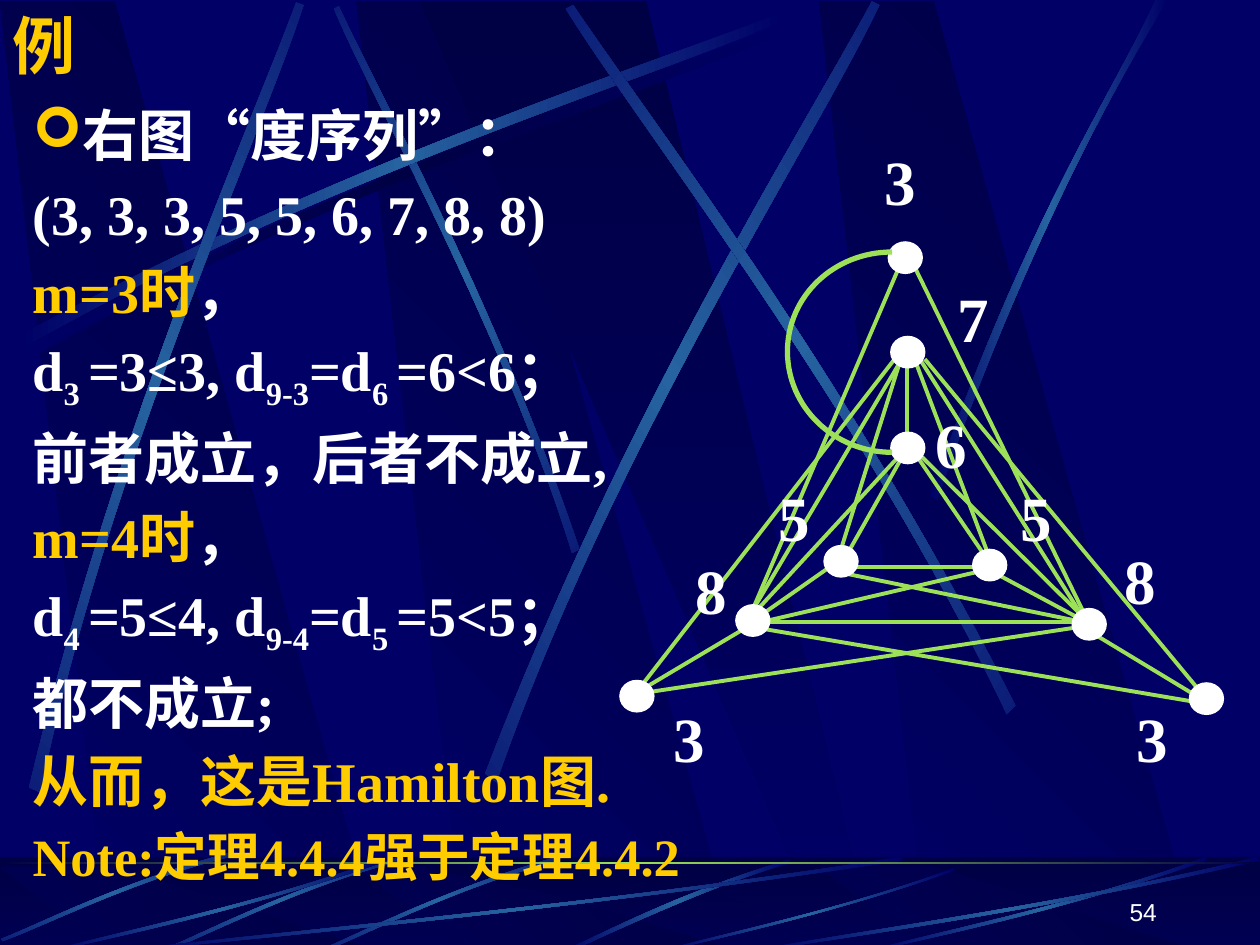
from copy import deepcopy
from math import cos, radians, sin

from lxml import etree
from pptx import Presentation
from pptx.dml.color import RGBColor
from pptx.enum.shapes import MSO_CONNECTOR, MSO_SHAPE
from pptx.enum.text import MSO_ANCHOR, PP_ALIGN
from pptx.oxml.ns import qn
from pptx.util import Inches, Pt

STRAIGHT = MSO_CONNECTOR.STRAIGHT
RECTANGLE, OVAL = MSO_SHAPE.RECTANGLE, MSO_SHAPE.OVAL
TOP, MIDDLE, BOTTOM = MSO_ANCHOR.TOP, MSO_ANCHOR.MIDDLE, MSO_ANCHOR.BOTTOM
LEFT, RIGHT = PP_ALIGN.LEFT, PP_ALIGN.RIGHT

NAVY = RGBColor(0x00, 0x00, 0x66)
DARK = RGBColor(0x00, 0x00, 0x44)
BLUE = RGBColor(0x26, 0x63, 0xA0)
GREEN = RGBColor(0x9C, 0xE1, 0x57)
GOLD = RGBColor(0xFF, 0xCC, 0x00)
WHITE = RGBColor(0xFF, 0xFF, 0xFF)
SERIF = "Times New Roman"

BANDS = [
    ((2.83, 3.69, 5.85, 3.74), (NAVY, DARK), 315),
    ((0, 0.86, 3.02, 0.91), (NAVY, DARK), 315),
    ((6.5, 7.36, 9.52, 7.41), (NAVY, DARK), 315),
    ((3.33, 6.58, 6.94, 5.13), (DARK, NAVY), 90),
]
SHADOW_STREAK = [(0.2, 2.75), (2.84, 1.34), (5.24, 0.59), (6.26, 0.18),
                 (6.29, 0.24), (5.28, 0.69), (2.54, 1.51), (0.23, 2.85)]
UPPER_STREAKS = [
    (45, [(4.6, 4.36), (3.91, 2.34), (3.02, 0.77), (2.69, 0.05),
          (2.65, 0.07), (2.95, 0.79), (3.98, 2.58), (4.54, 4.39)]),
    (0, [(0.14, 2.67), (2.78, 1.25), (5.18, 0.51), (6.2, 0.1),
         (6.23, 0.16), (5.22, 0.61), (2.48, 1.43), (0.17, 2.77)]),
    (311.7, [(0.23, 6.25), (0.93, 3.34), (1.97, 1.05), (2.35, 0.02),
             (2.41, 0.04), (2.07, 1.09), (0.86, 3.68), (0.32, 6.29)]),
    (321.6, [(3.85, 6.14), (4.98, 3.2), (6.38, 1.02), (6.92, 0.01),
             (6.98, 0.04), (6.49, 1.08), (4.86, 3.55), (3.94, 6.21)]),
    (34.7, [(8.06, 5.6), (6.7, 2.93), (5.16, 0.95), (4.55, 0.04),
            (4.49, 0.07), (5.07, 1.01), (6.85, 3.25), (7.99, 5.67)]),
    (0, [(7.38, 3.94), (8.14, 1.73), (8.88, 0.66), (9.17, 0),
         (9.27, 0), (8.36, 1.45), (7.69, 3.22), (7.44, 3.97)]),
]
LOWER_STREAKS = [
    (0, [(6.27, 6.82), (5.37, 7.09), (4.77, 7.42), (4.48, 7.54),
         (4.53, 7.55), (4.9, 7.38), (5.71, 7), (6.28, 6.85)]),
    (315, [(4.42, 6.8), (3.55, 7.05), (2.87, 7.4), (2.56, 7.53),
           (2.57, 7.55), (2.88, 7.43), (3.65, 7.03), (4.44, 6.83)]),
    (315, [(3.17, 6.8), (2.3, 7.05), (1.62, 7.4), (1.31, 7.53),
           (1.32, 7.55), (1.63, 7.43), (2.4, 7.03), (3.19, 6.83)]),
    (315, [(1.85, 6.76), (0.98, 6.99), (0.32, 7.33), (0.01, 7.45),
           (0.02, 7.47), (0.33, 7.36), (1.09, 6.97), (1.87, 6.79)]),
    (0, [(7.17, 6.83), (4.49, 7.23), (2.06, 7.44), (1.03, 7.55),
         (1, 7.54), (2.02, 7.41), (4.8, 7.18), (7.14, 6.8)]),
    (0, [(3.08, 6.83), (1.93, 7.23), (0.88, 7.44), (0.43, 7.55),
         (0.42, 7.54), (0.86, 7.41), (2.06, 7.18), (3.07, 6.8)]),
    (0, [(7.58, 6.91), (6.58, 7.26), (5.67, 7.45), (5.28, 7.55),
         (5.27, 7.54), (5.65, 7.43), (6.69, 7.22), (7.57, 6.89)]),
    (0, [(9.58, 6.83), (8.43, 7.23), (7.38, 7.44), (6.93, 7.55),
         (6.92, 7.54), (7.36, 7.41), (8.56, 7.18), (9.57, 6.8)]),
    (0, [(10, 6.83), (8.27, 7.23), (6.69, 7.44), (6.02, 7.55),
         (6, 7.54), (6.66, 7.41), (8.46, 7.18), (9.98, 6.8)]),
]
EDGES = [
    (6.75, 4.5, 7.75, 4.5), (7.2, 2.88, 7.2, 3.49), (6.03, 4.94, 8.67, 4.94),
    (7.17, 3.61, 6.7, 4.44), (7.27, 3.61, 7.87, 4.49), (7.14, 2.88, 6.64, 4.47),
    (7.14, 2.11, 5.93, 4.94), (7.24, 2.08, 8.61, 4.88), (7.27, 2.88, 7.87, 4.47),
    (7.3, 2.85, 8.64, 4.97), (7.14, 2.88, 5.97, 4.85), (7.34, 2.85, 9.51, 5.47),
    (7.1, 2.85, 5.07, 5.47), (8.63, 5, 9.54, 5.55), (5.93, 4.97, 9.54, 5.58),
    (7.9, 4.55, 8.57, 4.91), (6.6, 4.49, 6, 4.91), (5.89, 5, 5.1, 5.47),
    (6.7, 4.55, 8.61, 4.94), (5.17, 5.49, 8.61, 4.97), (7.3, 3.61, 8.61, 4.91),
    (6.03, 4.94, 7.84, 4.52), (6, 4.85, 7.2, 3.55),
]
VERTICES = [(4.92, 5.4), (5.84, 4.8), (6.54, 4.33), (7.05, 1.92), (7.07, 2.67),
            (7.07, 3.43), (7.72, 4.36), (8.51, 4.83), (9.44, 5.42)]
DEGREES = [("3", 6.92, 1.08), ("7", 7.5, 2.17), ("5", 6.08, 3.75),
           ("5", 8, 3.75), ("8", 5.42, 4.33), ("8", 8.83, 4.25),
           ("3", 8.92, 5.5), ("3", 5.25, 5.5), ("6", 7.33, 3.17)]
LOOP = [(7.08, 2), (6.62, 2), (6.25, 2.35), (6.25, 2.79),
        (6.25, 3.23), (6.62, 3.59), (7.08, 3.59)]


def degree_test(m, degree, rest, other, value):
    return [("d", None, 0), (f"{m} ", None, -25), (f"={degree}≤{m}, d", None, 0),
            (rest, None, -25), ("=d", None, 0), (f"{other} ", None, -25),
            (f"={value}<{value}；", None, 0)]


def case_heading(m):
    return [(f"m={m}时", GOLD, 0), ("，", WHITE, 0)]


ARGUMENT = [
    ([("右图“度序列”：", None, 0)], WHITE, 32),
    ([("(3, 3, 3, 5, 5, 6, 7, 8, 8)", None, 0)], WHITE, 32),
    (case_heading(3), None, 32),
    (degree_test(3, 3, "9-3", 6, 6), WHITE, 32),
    ([("前者成立，后者不成立,", None, 0)], WHITE, 32),
    (case_heading(4), None, 32),
    (degree_test(4, 5, "9-4", 5, 5), WHITE, 32),
    ([("都不成立;", None, 0)], WHITE, 32),
    ([("从而，这是Hamilton图.", None, 0)], GOLD, 32),
    ([("Note:定理4.4.4强于定理4.4.2", None, 0)], GOLD, 30),
]


def fill_gradient(shape, colors, angle):
    shape.fill.gradient()
    shape.fill.gradient_angle = (360 - angle) % 360
    stop_list = shape._element.spPr.find(".//" + qn("a:gsLst"))
    for _ in colors[2:]:
        stop_list.append(deepcopy(stop_list[-1]))
    for i, (stop, color) in enumerate(zip(shape.fill.gradient_stops, colors)):
        stop.color.rgb = color
        stop.position = i / (len(colors) - 1)
    shape.line.fill.background()


def add_outline(slide, points, close=True):
    emu = [(Inches(x), Inches(y)) for x, y in points]
    builder = slide.shapes.build_freeform(*emu[0])
    builder.add_line_segments(emu[1:], close=close)
    outline = builder.convert_to_shape()
    outline.shadow.inherit = False
    return outline


def bend(outline, curve_starts):
    segments = list(outline._element.spPr.iter(qn("a:lnTo")))
    for start in curve_starts:
        first, *rest = segments[start:start + 3]
        first.tag = qn("a:cubicBezTo")
        for segment in rest:
            first.append(segment[0])
            segment.getparent().remove(segment)


def turn(point, degrees):
    x, y = point
    c, s = cos(radians(degrees)), sin(radians(degrees))
    return x * c - y * s, x * s + y * c


def add_streak(slide, controls, rotation, middle):
    level = [turn(point, -rotation) for point in controls]
    center = [(min(axis) + max(axis)) / 2 for axis in zip(*level)]
    turned = turn(center, rotation)
    dx, dy = turned[0] - center[0], turned[1] - center[1]
    streak = add_outline(slide, [(x + dx, y + dy) for x, y in level])
    bend(streak, (0, 4))
    streak.rotation = rotation
    fill_gradient(streak, (NAVY, middle, NAVY), 0)


def add_bands(slide, top, bottom):
    for xs, colors, angle in BANDS:
        band = add_outline(slide, list(zip(xs, (top, bottom, bottom, top))))
        fill_gradient(band, colors, angle)


def add_preset(slide, preset, x, y, w, h):
    shape = slide.shapes.add_shape(preset, Inches(x), Inches(y), Inches(w), Inches(h))
    shape.shadow.inherit = False
    return shape


def add_backdrop(slide):
    slide.background.fill.solid()
    slide.background.fill.fore_color.rgb = NAVY
    add_bands(slide, 0.01, 7.52)
    add_streak(slide, SHADOW_STREAK, 0, DARK)
    for rotation, controls in UPPER_STREAKS:
        add_streak(slide, controls, rotation, BLUE)
    fill_gradient(add_preset(slide, RECTANGLE, 0, 6.8, 10, 0.75), (DARK, NAVY), 90)
    add_bands(slide, 6.88, 7.55)
    veil = add_preset(slide, RECTANGLE, 0, 6.8, 10, 0.75)
    veil.fill.solid()
    veil.fill.fore_color.rgb = DARK
    veil.line.fill.background()
    veil_color = veil._element.spPr.find(".//" + qn("a:srgbClr"))
    etree.SubElement(veil_color, qn("a:alpha"), val="50000")
    for rotation, controls in LOWER_STREAKS:
        add_streak(slide, controls, rotation, BLUE)
    fill_gradient(add_preset(slide, RECTANGLE, 0, 6.84, 10, 0.02), (DARK, GREEN, DARK), 0)
    layout_tree = slide.slide_layout.shapes._spTree
    for shape in list(slide.shapes):
        layout_tree.append(shape._element)


def add_text_frame(slide, x, y, w, h, anchor=TOP):
    frame = slide.shapes.add_textbox(Inches(x), Inches(y), Inches(w), Inches(h)).text_frame
    frame.word_wrap = True
    frame.vertical_anchor = anchor
    return frame


def style(paragraph, name, size, color, bold=True):
    font = paragraph.font
    font.name, font.size, font.bold = name, Pt(size), bold
    if color is not None:
        font.color.rgb = color


def add_label(slide, text, box, name, size, color, bold=True, anchor=TOP, align=LEFT):
    paragraph = add_text_frame(slide, *box, anchor).paragraphs[0]
    paragraph.add_run().text = text
    paragraph.alignment = align
    style(paragraph, name, size, color, bold)


def add_bullet(properties):
    color = etree.SubElement(properties, qn("a:buClr"))
    etree.SubElement(color, qn("a:srgbClr"), val=str(GOLD))
    etree.SubElement(properties, qn("a:buFont"), typeface="Wingdings")
    etree.SubElement(properties, qn("a:buChar"), char="➢")


def add_argument(slide):
    frame = add_text_frame(slide, 0.16, 0.75, 5.61, 6.33)
    for i, (pieces, color, size) in enumerate(ARGUMENT):
        paragraph = frame.add_paragraph() if i else frame.paragraphs[0]
        properties = paragraph._p.get_or_add_pPr()
        properties.set("marL", str(Inches(0.38)))
        properties.set("indent", str(-Inches(0.38)))
        if i:
            paragraph.space_before = Pt(size * 0.2)
        else:
            add_bullet(properties)
        style(paragraph, SERIF, size, color)
        for text, run_color, baseline in pieces:
            run = paragraph.add_run()
            run.text = text
            if run_color is not None:
                run.font.color.rgb = run_color
            if baseline:
                run.font._element.set("baseline", str(baseline * 1000))


def add_graph(slide):
    for x1, y1, x2, y2 in EDGES:
        edge = slide.shapes.add_connector(
            STRAIGHT, Inches(x1), Inches(y1), Inches(x2), Inches(y2))
        edge.line.color.rgb = GREEN
        edge.line.width = Pt(2.25)
        etree.SubElement(edge._element.spPr, qn("a:effectLst"))
    for x, y in VERTICES:
        vertex = add_preset(slide, OVAL, x, y, 0.27, 0.25)
        vertex.fill.solid()
        vertex.fill.fore_color.rgb = WHITE
        vertex.line.color.rgb = WHITE
        vertex.line.width = Pt(0.75)
    loop = add_outline(slide, LOOP, close=False)
    bend(loop, (0, 3))
    loop.fill.background()
    loop.line.color.rgb = GREEN
    loop.line.width = Pt(3)
    for degree, x, y in DEGREES:
        add_label(slide, degree, (x, y, 0.42, 0.7), SERIF, 36, WHITE)


def main():
    deck = Presentation()
    deck.slide_width, deck.slide_height = Inches(10), Inches(7.5)
    slide = deck.slides.add_slide(deck.slide_layouts[6])
    add_backdrop(slide)
    add_label(slide, "例", (0, 0, 8.5, 0.71), "Montserrat", 36, GOLD, anchor=MIDDLE)
    add_graph(slide)
    add_argument(slide)
    add_label(slide, "54", (7.2, 6.9, 2.08, 0.5), "Arial", 14, WHITE,
              bold=False, anchor=BOTTOM, align=RIGHT)
    deck.save("out.pptx")


if __name__ == "__main__":
    main()
